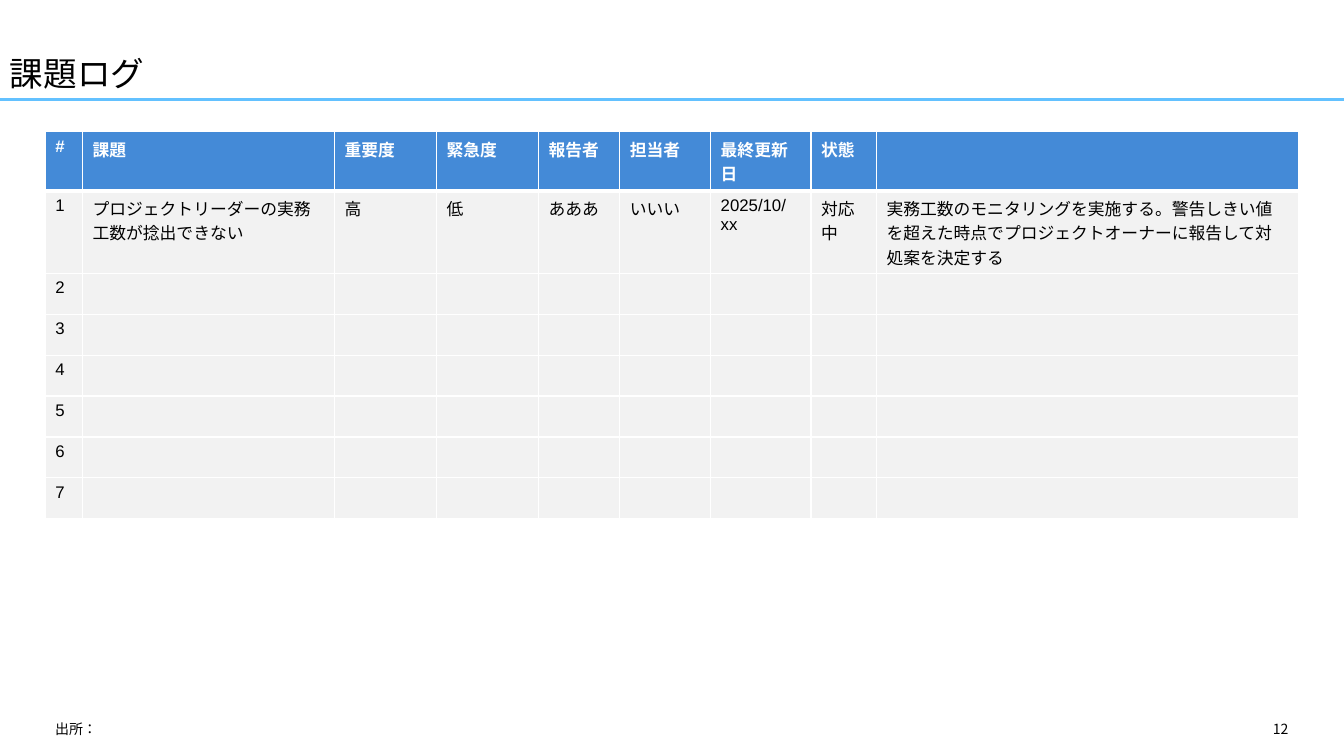
import pptx
import pptx.util
import pptx.dml.color
import pptx.enum.lang
import pptx.enum.shapes
import pptx.enum.text
import pptx.oxml
import pptx.oxml.ns
import lxml.etree

Cm = pptx.util.Cm
Pt = pptx.util.Pt
RGBColor = pptx.dml.color.RGBColor
ANCHOR = pptx.enum.text.MSO_ANCHOR
ALIGN = pptx.enum.text.PP_ALIGN
qn = pptx.oxml.ns.qn

BLACK = RGBColor(0x00, 0x00, 0x00)
WHITE = RGBColor(0xFF, 0xFF, 0xFF)
SKY = RGBColor(0x63, 0xC1, 0xFF)
BLUE = RGBColor(0x44, 0x8A, 0xD7)
GRAY = RGBColor(0xF2, 0xF2, 0xF2)
JP_FONT = "Noto Sans CJK JP"

WIDTH, HEIGHT = 33.87, 19.05
MARGIN = 1.14
COLUMNS = [
    ("#", 0.94), ("課題", 6.35), ("重要度", 2.57), ("緊急度", 2.57),
    ("報告者", 2.05), ("担当者", 2.29), ("最終更新日", 2.53),
    ("状態", 1.65), ("", 10.63),
]
ISSUES = [[
    "プロジェクトリーダーの実務工数が捻出できない", "高", "低", "あああ", "いいい",
    "2025/10/xx", "対応中",
    "実務工数のモニタリングを実施する。警告しきい値を超えた時点で"
    "プロジェクトオーナーに報告して対処案を決定する",
]]
ISSUE_ROWS = 7
HEADER_HEIGHT, ISSUE_HEIGHT, EMPTY_HEIGHT = 1.49, 2.08, 1.03


def write_text(tf, text, size=10, font=JP_FONT, color=BLACK, bold=False,
               align=ALIGN.LEFT, spacing=None):
    """Write one formatted paragraph into a text frame."""
    p = tf.paragraphs[0]
    p.alignment = align
    p.line_spacing = spacing
    if not text:
        end = lxml.etree.SubElement(p._p, qn("a:endParaRPr"))
        end.set("sz", str(size * 100))
        return
    r = p.add_run()
    r.text = text
    r.font.size = Pt(size)
    r.font.name = font
    r.font.bold = bold
    r.font.color.rgb = color
    r.font.language_id = pptx.enum.lang.MSO_LANGUAGE_ID.JAPANESE
    ea = lxml.etree.SubElement(r.font._element, qn("a:ea"))
    ea.set("typeface", JP_FONT)


def add_label(s, text, left, top, width, height, anchor=ANCHOR.MIDDLE, **style):
    """Place a wrapping text box, measured in centimetres."""
    sp = s.shapes.add_textbox(Cm(left), Cm(top), Cm(width), Cm(height))
    tf = sp.text_frame
    tf.word_wrap = True
    tf.vertical_anchor = anchor
    write_text(tf, text, **style)


def add_header(s, left, top, width, height):
    """Place the title with the rule beneath it."""
    bottom = top + height
    rule = s.shapes.add_connector(
        pptx.enum.shapes.MSO_CONNECTOR.STRAIGHT,
        Cm(left), Cm(bottom), Cm(left + width), Cm(bottom))
    rule.line.color.rgb = SKY
    rule.line.width = Pt(2.25)
    lxml.etree.SubElement(rule._element.spPr, qn("a:effectLst"))
    add_label(s, "課題ログ", left, top, width, height, ANCHOR.BOTTOM,
              size=24, spacing=0.9)


def set_borders(cell, **widths):
    """Draw white cell borders, with widths in points by side."""
    tcPr = cell._tc.get_or_add_tcPr()
    for side in "LRTB":
        ln = lxml.etree.SubElement(tcPr, qn(f"a:ln{side}"))
        ln.set("w", str(Pt(widths.get(side, 1))))
        fill = lxml.etree.SubElement(ln, qn("a:solidFill"))
        lxml.etree.SubElement(fill, qn("a:srgbClr")).set("val", str(WHITE))


def add_issue_table(s, left, top, width):
    """Place the issue log with its header and numbered rows."""
    rows = [[name for name, _ in COLUMNS]]
    heights = [HEADER_HEIGHT]
    for i in range(ISSUE_ROWS):
        filled = i < len(ISSUES)
        issue = ISSUES[i] if filled else [""] * (len(COLUMNS) - 1)
        rows.append([str(i + 1)] + issue)
        heights.append(ISSUE_HEIGHT if filled else EMPTY_HEIGHT)
    table = s.shapes.add_table(
        len(rows), len(COLUMNS), Cm(left), Cm(top),
        Cm(width), Cm(sum(heights))).table
    for column, (_, column_width) in zip(table.columns, COLUMNS):
        column.width = Cm(column_width)
    for i, row in enumerate(rows):
        table.rows[i].height = Cm(heights[i])
        header = i == 0
        borders = {0: {"B": 3}, 1: {"T": 3}}.get(i, {})
        for j, text in enumerate(row):
            cell = table.cell(i, j)
            set_borders(cell, **borders)
            cell.fill.solid()
            cell.fill.fore_color.rgb = BLUE if header else GRAY
            write_text(cell.text_frame, text, size=12, font="Arial",
                       color=WHITE if header else BLACK, bold=header)


def add_footer(s, left, top, width, height):
    """Place the source note and the page number."""
    note_width = 21.5
    add_label(s, "出所：", left, top, note_width, height)
    add_label(s, "12", left + note_width, top, width - note_width, height,
              align=ALIGN.RIGHT)


def main():
    """Build and save the issue log slide."""
    prs = pptx.Presentation()
    prs.slide_width, prs.slide_height = Cm(WIDTH), Cm(HEIGHT)
    s = prs.slides.add_slide(prs.slide_layouts[6])
    content_width = sum(width for _, width in COLUMNS)
    add_header(s, 0, 0, WIDTH, 2.5)
    add_issue_table(s, MARGIN, 3.32, content_width)
    add_footer(s, MARGIN, 18.07, content_width, 0.61)
    prs.save("out.pptx")


if __name__ == "__main__":
    main()
